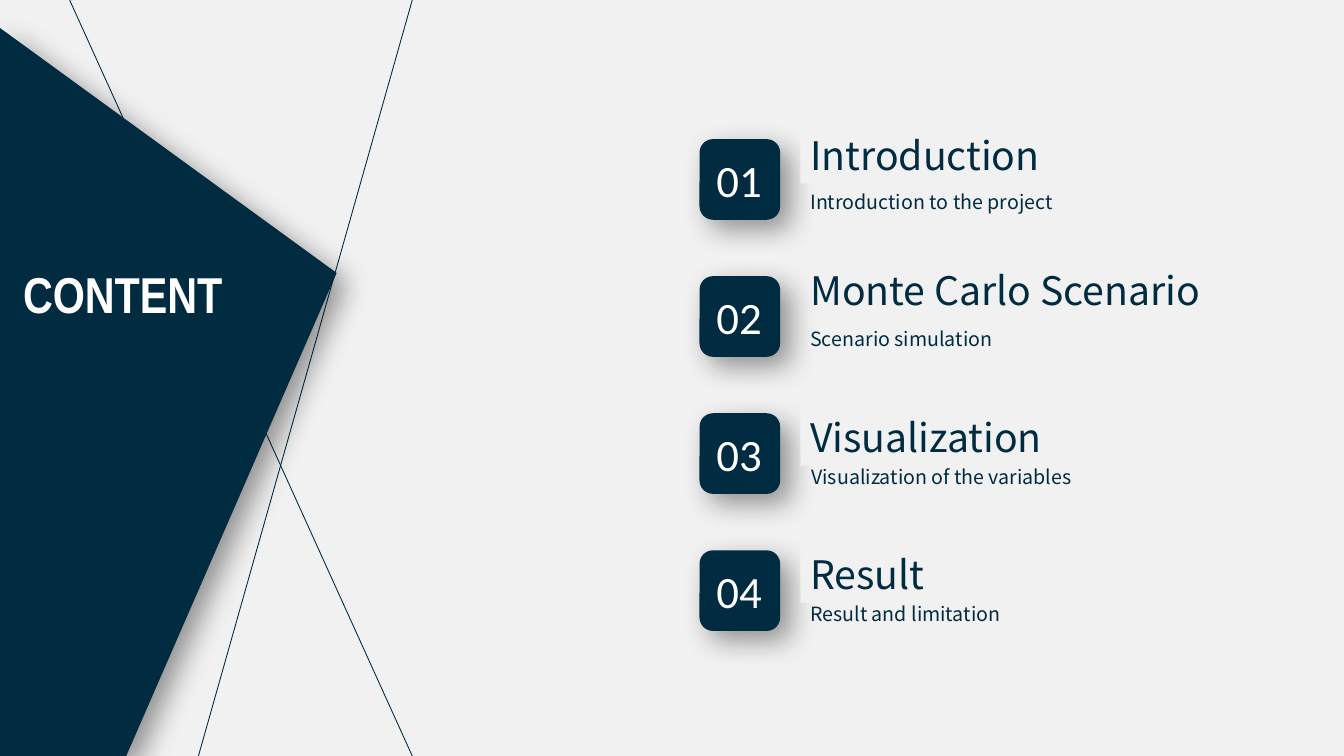
"""Build the CONTENT agenda slide with four numbered topics."""
import pptx
import pptx.util
import pptx.dml.color
import pptx.enum.shapes
import pptx.enum.text
import pptx.oxml
import pptx.oxml.ns
from dataclasses import dataclass

HEADING = "CONTENT"
# title, subtitle, title offset, title width, subtitle left, subtitle width, title under badge
TOPICS = [
    ("Introduction", "Introduction to the project", -9.4, 228.2, 571.7, 195, False),
    ("Monte Carlo Scenario", "Scenario simulation", -10.8, 337, 571.7, 147.6, True),
    ("Visualization", "Visualization of the variables", -3.6, 228.2, 572.4, 208, False),
    ("Result", "Result and limitation", -3.6, 228.2, 571.7, 154, False),
]
RAYS = [(294.5, 0, 139.7, 547.2), (294.5, 540, 43.2, -14.4)]
PANEL = [(90, 540.5), (0, 540.5), (0, 20), (240.5, 195)]
BADGE_LEFT, BADGE_TOP, BADGE_SIZE, PITCH = 499.7, 99.4, 57.6, 97.9
TITLE_LEFT = 571.7


@dataclass(frozen=True)
class Theme:
    """Colours, fonts and type sizes."""
    navy: str = "002B41"
    paper: str = "F1F1F1"
    white: str = "FFFFFF"
    heading: tuple = ("Arial Narrow", 36)
    number: tuple = ("Calibri", 32)
    title: tuple = ("Noto Sans CJK SC", 28)
    subtitle: tuple = ("Noto Sans CJK SC", 14)


THEME = Theme()
Pt = pptx.util.Pt
SHAPE = pptx.enum.shapes.MSO_SHAPE
ALIGN = pptx.enum.text.PP_ALIGN


def rgb(color):
    """Return a colour object for a hex string."""
    return pptx.dml.color.RGBColor.from_string(color)


def paint(sp, color):
    """Give a shape a flat fill with no line or shadow."""
    sp.shadow.inherit = False
    sp.fill.solid()
    sp.fill.fore_color.rgb = rgb(color)
    sp.line.fill.background()


def cast_shadow(sp):
    """Add the soft diagonal shadow."""
    effects = sp._element.spPr.find(pptx.oxml.ns.qn("a:effectLst"))
    effects.append(pptx.oxml.parse_xml(
        f'<a:outerShdw {pptx.oxml.ns.nsdecls("a")} blurRad="{Pt(20)}" dist="{Pt(10)}" '
        'dir="2700000" algn="tl" rotWithShape="0"><a:srgbClr val="000000">'
        '<a:alpha val="40000"/></a:srgbClr></a:outerShdw>'))


def write(sp, text, style, color, wrap=True, align=ALIGN.LEFT, bold=False):
    """Set and format the single line of text in a shape."""
    tf = sp.text_frame
    tf.text = text
    tf.word_wrap = wrap
    tf.auto_size = pptx.enum.text.MSO_AUTO_SIZE.SHAPE_TO_FIT_TEXT
    p = tf.paragraphs[0]
    p.alignment = align
    font = p.runs[0].font
    font.name, font.size, font.bold = style[0], Pt(style[1]), bold
    font.color.rgb = rgb(color)


def add_text(s, box, *args, **kwargs):
    """Add a text box."""
    write(s.shapes.add_textbox(*map(Pt, box)), *args, **kwargs)


def add_title(s, text, top, width):
    """Add a topic title on a paper-coloured bar."""
    sp = s.shapes.add_shape(SHAPE.RECTANGLE, Pt(TITLE_LEFT), Pt(top), Pt(width), Pt(41))
    paint(sp, THEME.paper)
    write(sp, text, THEME.title, THEME.navy)


def add_topic(s, index, topic):
    """Add one numbered topic row."""
    title, subtitle, offset, width, sub_left, sub_width, under = topic
    top = BADGE_TOP + index * PITCH
    if under:
        add_title(s, title, top + offset, width)
    badge = s.shapes.add_shape(SHAPE.ROUNDED_RECTANGLE, Pt(BADGE_LEFT), Pt(top),
                               Pt(BADGE_SIZE), Pt(BADGE_SIZE))
    paint(badge, THEME.navy)
    cast_shadow(badge)
    add_text(s, (BADGE_LEFT + 5, top + 5.9, 47.5, 46), f"{index + 1:02}",
             THEME.number, THEME.white, wrap=False)
    add_text(s, (sub_left, top + 33, sub_width, 24.3), subtitle,
             THEME.subtitle, THEME.navy, wrap=False)
    if not under:
        add_title(s, title, top + offset, width)


def add_backdrop(s):
    """Add the crossing rays and the navy panel."""
    for ray in RAYS:
        line = s.shapes.add_connector(pptx.enum.shapes.MSO_CONNECTOR.STRAIGHT, *map(Pt, ray))
        line.line.color.rgb = rgb(THEME.navy)
        line.line.width = Pt(0.63)
        line._element.spPr.append(
            pptx.oxml.parse_xml(f'<a:effectLst {pptx.oxml.ns.nsdecls("a")}/>'))
    start, *corners = [(Pt(x), Pt(y)) for x, y in PANEL]
    builder = s.shapes.build_freeform(*start)
    builder.add_line_segments(corners, close=True)
    panel = builder.convert_to_shape()
    paint(panel, THEME.navy)
    cast_shadow(panel)


def main():
    """Build and save the slide."""
    prs = pptx.Presentation()
    prs.slide_width, prs.slide_height = Pt(960), Pt(540)
    s = prs.slides.add_slide(prs.slide_layouts[6])
    s.background.fill.solid()
    s.background.fill.fore_color.rgb = rgb(THEME.paper)
    add_backdrop(s)
    add_text(s, (-2.2, 184.3, 180, 51), HEADING, THEME.heading, THEME.white,
             align=ALIGN.CENTER, bold=True)
    for index, topic in enumerate(TOPICS):
        add_topic(s, index, topic)
    prs.save("out.pptx")


if __name__ == "__main__":
    main()
